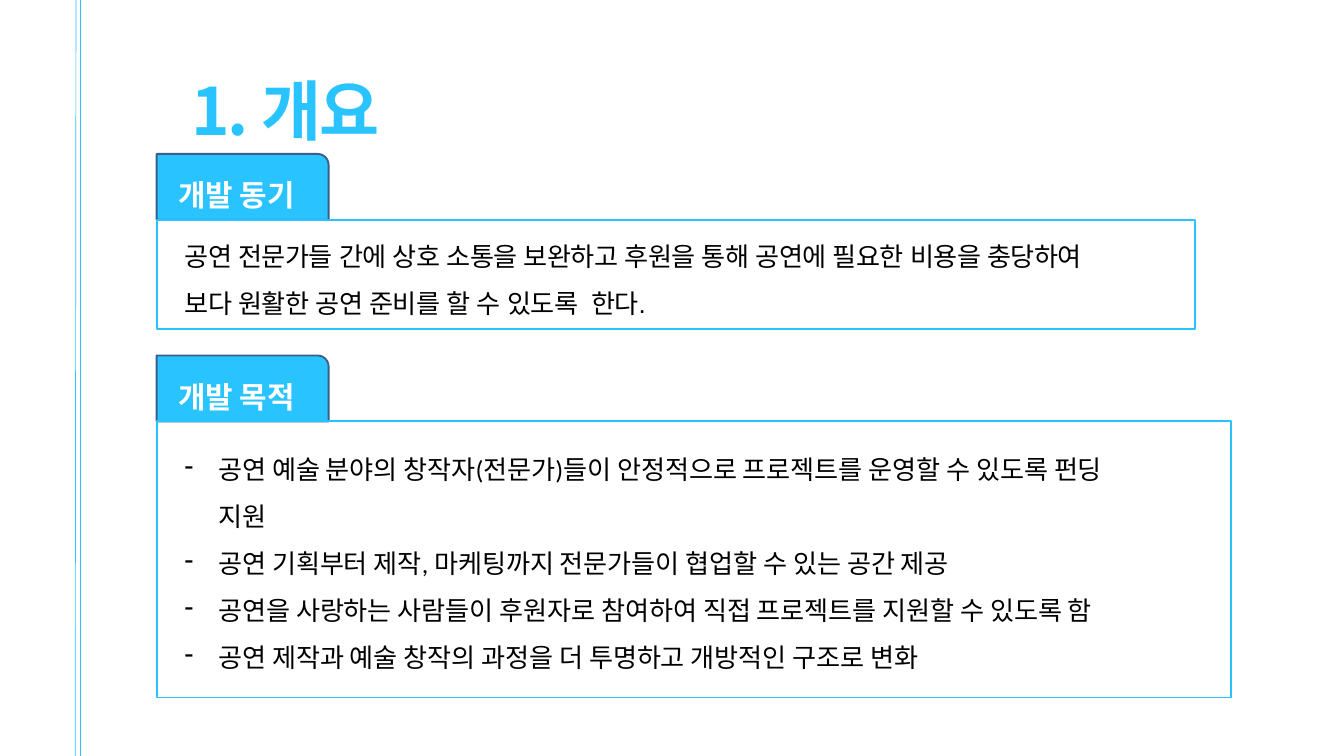
from dataclasses import dataclass

from lxml import etree
from pptx import Presentation
from pptx.dml.color import RGBColor
from pptx.enum.shapes import MSO_CONNECTOR, MSO_SHAPE
from pptx.enum.text import MSO_AUTO_SIZE, PP_ALIGN
from pptx.oxml.ns import qn
from pptx.util import Length, Pt

STRAIGHT = MSO_CONNECTOR.STRAIGHT
TAB = MSO_SHAPE.ROUND_1_RECTANGLE
RECTANGLE = MSO_SHAPE.RECTANGLE
LEFT = PP_ALIGN.LEFT
GROW = MSO_AUTO_SIZE.SHAPE_TO_FIT_TEXT

SKY, NAVY, WHITE, BLACK = "29C3FF", "3A5F8C", "FFFFFF", "000000"
SLIDE_WIDTH, SLIDE_HEIGHT = 1440, 810
SECTION_LEFT, TAB_WIDTH, TAB_HEIGHT = 167.8, 184.3, 70.6
BULLET_INDENT = 36


@dataclass(frozen=True)
class Area:
    left: float
    top: float
    width: float
    height: float

    def lengths(self) -> tuple[Length, ...]:
        return Pt(self.left), Pt(self.top), Pt(self.width), Pt(self.height)


@dataclass(frozen=True)
class TextStyle:
    font: str
    size: float
    color: str
    line_spacing: float | Length
    bold: bool = False
    tracking: float = 0
    inset: bool = False
    bullet: str = ""


@dataclass(frozen=True)
class Section:
    heading: str
    top: float
    frame_width: float
    frame_height: float
    body_area: Area
    body_style: TextStyle
    paragraphs: tuple[str, ...]


TITLE = TextStyle("Noto Sans CJK KR", 70, SKY, Pt(126), bold=True, tracking=-2.2)
HEADING = TextStyle("Karla", 32, WHITE, Pt(46.9), bold=True, tracking=-0.5)
MOTIVE = TextStyle("Arial", 28, BLACK, 1.5, tracking=-0.5, inset=True)
GOALS = TextStyle("Calibri", 28, BLACK, 1.5, inset=True, bullet="-")

SECTIONS = (
    Section("개발 동기", 164.9, 1112.4, 117.4, Area(190.8, 236.9, 1096.6, 131), MOTIVE, (
        "공연 전문가들 간에 상호 소통을 보완하고 후원을 통해 공연에 필요한 비용을 충당하여",
        "보다 원활한 공연 준비를 할 수 있도록  한다.",
    )),
    Section("개발 목적", 380.9, 1151.3, 295.9, Area(190.8, 465.1, 1087.2, 295.9), GOALS, (
        "공연 예술 분야의 창작자(전문가)들이 안정적으로 프로젝트를 운영할 수 있도록 펀딩\n지원",
        "공연 기획부터 제작, 마케팅까지 전문가들이 협업할 수 있는 공간 제공",
        "공연을 사랑하는 사람들이 후원자로 참여하여 직접 프로젝트를 지원할 수 있도록 함",
        "공연 제작과 예술 창작의 과정을 더 투명하고 개방적인 구조로 변화",
    )),
)


def rgb(color: str) -> RGBColor:
    """Turn a hex string into a colour."""
    return RGBColor.from_string(color)


def add_margin_line(slide, bottom_x: float, top_x: float) -> None:
    """Draw one full-height line in the left margin."""
    line = slide.shapes.add_connector(
        STRAIGHT, Pt(bottom_x), Pt(SLIDE_HEIGHT), Pt(top_x), Pt(0))
    line.line.color.rgb = rgb(SKY)
    line.line.width = Pt(0.75)
    etree.SubElement(line._element.spPr, qn("a:effectLst"))


def add_panel(slide, preset, area: Area, outline: str, fill: str | None = None) -> None:
    """Draw an outlined panel, filled when a colour is given."""
    panel = slide.shapes.add_shape(preset, *area.lengths())
    panel.shadow.inherit = False
    panel.line.color.rgb = rgb(outline)
    panel.line.width = Pt(2)
    if fill:
        panel.fill.solid()
        panel.fill.fore_color.rgb = rgb(fill)
    else:
        panel.fill.background()


def add_run(paragraph, wording: str, style: TextStyle) -> None:
    """Add one run in the given style."""
    run = paragraph.add_run()
    run.text = wording
    run.font.name = style.font
    run.font.size = Pt(style.size)
    run.font.bold = style.bold
    run.font.color.rgb = rgb(style.color)
    properties = run.font._element
    etree.SubElement(properties, qn("a:ea"), typeface=style.font)
    if style.tracking:
        properties.set("spc", str(round(style.tracking * 100)))


def add_bullet(paragraph, mark: str) -> None:
    """Give a paragraph a hanging bullet."""
    properties = paragraph._p.get_or_add_pPr()
    properties.set("marL", str(Pt(BULLET_INDENT)))
    properties.set("indent", str(Pt(-BULLET_INDENT)))
    etree.SubElement(properties, qn("a:buChar"), char=mark)


def add_text(slide, area: Area, style: TextStyle, paragraphs: tuple[str, ...]) -> None:
    """Write paragraphs into a text box."""
    frame = slide.shapes.add_textbox(*area.lengths()).text_frame
    frame.word_wrap = True
    frame.auto_size = GROW
    if not style.inset:
        frame.margin_left = frame.margin_right = Pt(0)
        frame.margin_top = frame.margin_bottom = Pt(0)
    for index, wording in enumerate(paragraphs):
        paragraph = frame.add_paragraph() if index else frame.paragraphs[0]
        paragraph.alignment = LEFT
        paragraph.line_spacing = style.line_spacing
        if style.bullet:
            add_bullet(paragraph, style.bullet)
        for row, part in enumerate(wording.split("\n")):
            if row:
                paragraph.add_line_break()
            add_run(paragraph, part, style)


def add_section(slide, section: Section) -> None:
    """Draw a headed tab with its framed body text."""
    add_text(slide, section.body_area, section.body_style, section.paragraphs)
    add_panel(slide, TAB, Area(SECTION_LEFT, section.top, TAB_WIDTH, TAB_HEIGHT), NAVY, SKY)
    add_text(slide, Area(191.5, section.top + 15.8, 136.8, 43.9), HEADING, (section.heading,))
    add_panel(slide, RECTANGLE, Area(
        SECTION_LEFT, section.top + TAB_HEIGHT,
        section.frame_width, section.frame_height), SKY)


def main() -> None:
    """Build and save the overview slide."""
    deck = Presentation()
    deck.slide_width, deck.slide_height = Pt(SLIDE_WIDTH), Pt(SLIDE_HEIGHT)
    slide = deck.slides.add_slide(deck.slide_layouts[6])
    add_margin_line(slide, 80.6, 81.4)
    add_margin_line(slide, 85.7, 85.7)
    add_text(slide, Area(205.2, 33.1, 919.4, 113), TITLE, ("1. 개요",))
    for section in SECTIONS:
        add_section(slide, section)
    deck.save("out.pptx")


if __name__ == "__main__":
    main()
